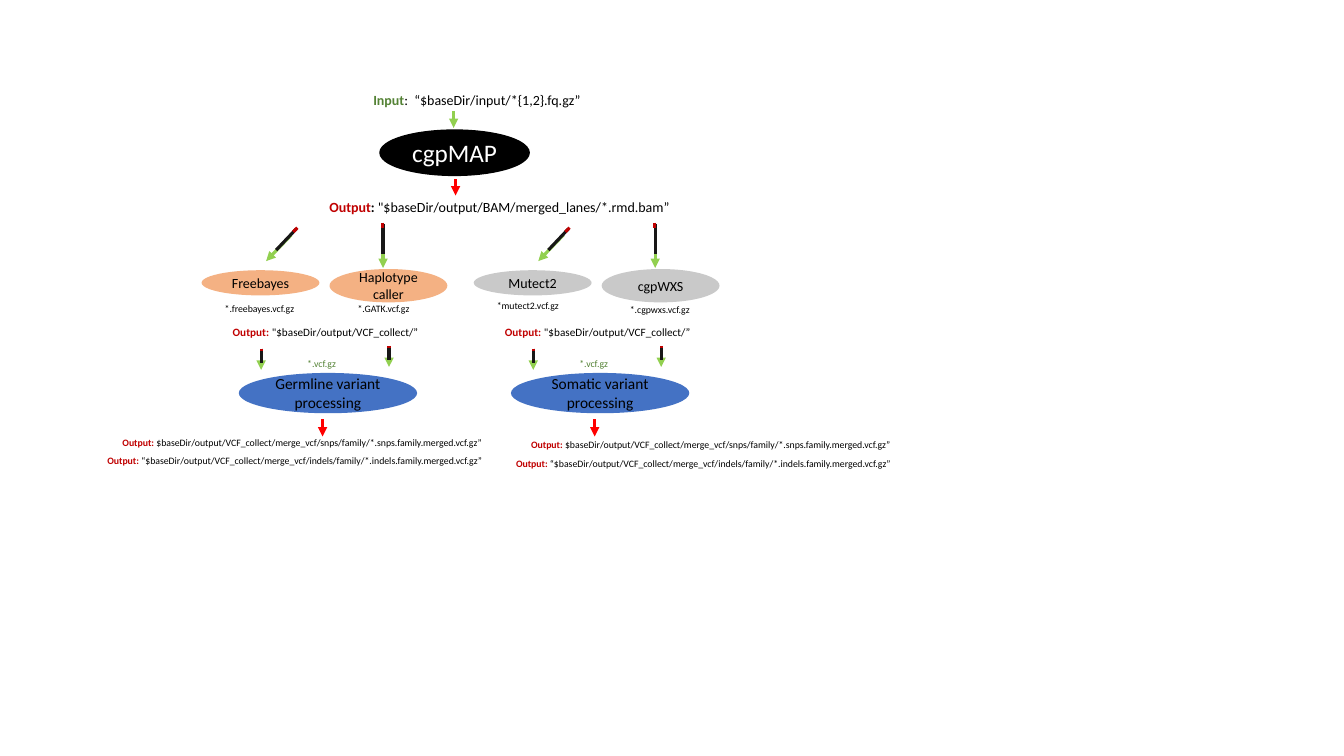
from lxml import etree
from pptx import Presentation
from pptx import util as u
from pptx.dml.color import RGBColor
from pptx.enum import shapes, text
from pptx.oxml import ns

BLACK = RGBColor(0x00, 0x00, 0x00)
WHITE = RGBColor(0xFF, 0xFF, 0xFF)
INK = RGBColor(0x18, 0x17, 0x17)
RED = RGBColor(0xFF, 0x00, 0x00)
DARK = RGBColor(0xC0, 0x00, 0x00)
LIME = RGBColor(0x92, 0xD0, 0x50)
GREEN = RGBColor(0x54, 0x82, 0x35)
PEACH = RGBColor(0xF4, 0xB1, 0x83)
GRAY = RGBColor(0xC9, 0xC9, 0xC9)
BLUE = RGBColor(0x44, 0x72, 0xC4)

STEP = 194.4
HEAD = ("Output: ", DARK, True)
MERGE = "$baseDir/output/VCF_collect/merge_vcf/"

TITLES = [
    ((258.5, 61.9, 164.2, 19.4), text.PP_ALIGN.CENTER,
     [("Input", GREEN, True), (":  “$baseDir/input/*{1,2}.fq.gz”", BLACK, False)]),
    ((228.2, 138.2, 261.4, 19.4), text.PP_ALIGN.LEFT,
     [("Output", DARK, True), (": ", BLACK, True),
      ('"$baseDir/output/BAM/merged_lanes/*.rmd.bam”', BLACK, False)]),
]
LINKS = [
    ((324, 79.2, 324, 91.4), LIME),
    ((325.4, 128.2, 325.4, 139.7), RED),
]

TOOLS = [(144, 193, 84.2, 18), (235.4, 192.2, 84.2, 23.8)]
FLOWS = [
    {"name": "Germline variant processing", "fill": PEACH,
     "tools": ["Freebayes", "Haplotype\ncaller"],
     "files": [("*.freebayes.vcf.gz", 153.4, 212.4, 66.2),
               ("*.GATK.vcf.gz", 248.4, 212.4, 53.3)],
     "right": 358.3, "tops": (308.2, 321.1)},
    {"name": "Somatic variant processing", "fill": GRAY,
     "tools": ["Mutect2", "cgpWXS"],
     "files": [("*mutect2.vcf.gz", 153.4, 210.2, 60.5),
               ("*.cgpwxs.vcf.gz", 248.4, 213.1, 58.3)],
     "right": 650.2, "tops": (309.6, 323.3)},
]
MERGED = [
    (MERGE + "snps/family/*.snps.family.merged.vcf.gz”", 277.9),
    ("“" + MERGE + "indels/family/*.indels.family.merged.vcf.gz”", 288.7),
]
ARROWS = [
    [(208.1, 167.8, 190.1, 186.5), (211.7, 163.4, 197.3, 178.6), (212.4, 162.7, 209.5, 165.6)],
    [(273.6, 165.6, 273.6, 191.5), (273.6, 159.8, 273.6, 181.4), (273.1, 159.1, 273.1, 162.7)],
    [(186.5, 252, 186.5, 264.2), (186.5, 249.1, 186.5, 259.2), (186.7, 249.1, 186.7, 250.6)],
    [(277.9, 249.8, 277.9, 262.1), (277.9, 247.7, 277.9, 257), (277.9, 247, 277.9, 248.4)],
]

deck = Presentation()
deck.slide_width, deck.slide_height = u.Pt(960), u.Pt(540)
slide = deck.slides.add_slide(deck.slide_layouts[6])


def style(item, **form):
    for key, val in form.items():
        setattr(item, key, val)


def write(para, runs, size):
    for words, color, bold in runs:
        for row, part in enumerate(words.split("\n")):
            if row:
                para.add_line_break()
            run = para.add_run()
            run.text = part
            style(run.font, size=u.Pt(size), name="Calibri", bold=bold)
            run.font.color.rgb = color


def label(box, runs, size, align=text.PP_ALIGN.LEFT):
    frame = slide.shapes.add_textbox(*map(u.Pt, box)).text_frame
    style(frame, word_wrap=False, auto_size=text.MSO_AUTO_SIZE.SHAPE_TO_FIT_TEXT)
    para = frame.paragraphs[0]
    para.alignment = align
    write(para, runs, size)


def oval(box, words, fill, size, color=BLACK, edge=None):
    shape = slide.shapes.add_shape(shapes.MSO_SHAPE.OVAL, *map(u.Pt, box))
    shape.shadow.inherit = False
    shape.fill.solid()
    shape.fill.fore_color.rgb = fill
    if edge is None:
        shape.line.fill.background()
    else:
        shape.line.color.rgb = edge
        shape.line.width = u.Pt(1)
    frame = shape.text_frame
    style(frame, word_wrap=True, vertical_anchor=text.MSO_ANCHOR.MIDDLE)
    para = frame.paragraphs[0]
    para.alignment = text.PP_ALIGN.CENTER
    write(para, [(words, color, False)], size)


def link(ends, color, head=True):
    line = slide.shapes.add_connector(shapes.MSO_CONNECTOR.STRAIGHT, *map(u.Pt, ends))
    line.line.color.rgb = color
    line.line.width = u.Pt(2.25)
    props = line._element.spPr
    if head:
        etree.SubElement(props.find(ns.qn("a:ln")), ns.qn("a:tailEnd"), type="triangle")
    etree.SubElement(props, ns.qn("a:effectLst"))


def move(box, dx):
    return (box[0] + dx, *box[1:])


oval((271.4, 92.9, 106.6, 32.4), "cgpMAP", BLACK, 18, WHITE, BLACK)
for box, align, runs in TITLES:
    label(box, runs, 10, align)
for ends, color in LINKS:
    link(ends, color)

for col, flow in enumerate(FLOWS):
    dx = col * STEP
    for box, words in zip(TOOLS, flow["tools"]):
        oval(move(box, dx), words, flow["fill"], 10)
    for words, x, y, w in flow["files"]:
        label((x + dx, y, w, 15.8), [(words, BLACK, False)], 7)
    label((159.1 + dx, 229, 148.3, 17.3),
          [HEAD, ('"$baseDir/output/VCF_collect/”', BLACK, False)], 8)
    oval((170.6 + dx, 266.4, 127.4, 28.8), flow["name"], BLUE, 11)
    for arrow in ARROWS:
        for (x1, y1, x2, y2), color in zip(arrow, (LIME, INK, DARK)):
            link((x1 + dx, y1, x2 + dx, y2), color, color == LIME)
    label((212.4 + dx, 252, 36, 15.8), [("*.vcf.gz", GREEN, False)], 7)
    link((230.4 + dx, 299.5, 230.4 + dx, 311.8), RED)
    for (words, w), y in zip(MERGED, flow["tops"]):
        label((flow["right"] - w, y, w, 15.8), [HEAD, (words, BLACK, False)], 7)

deck.save("out.pptx")
